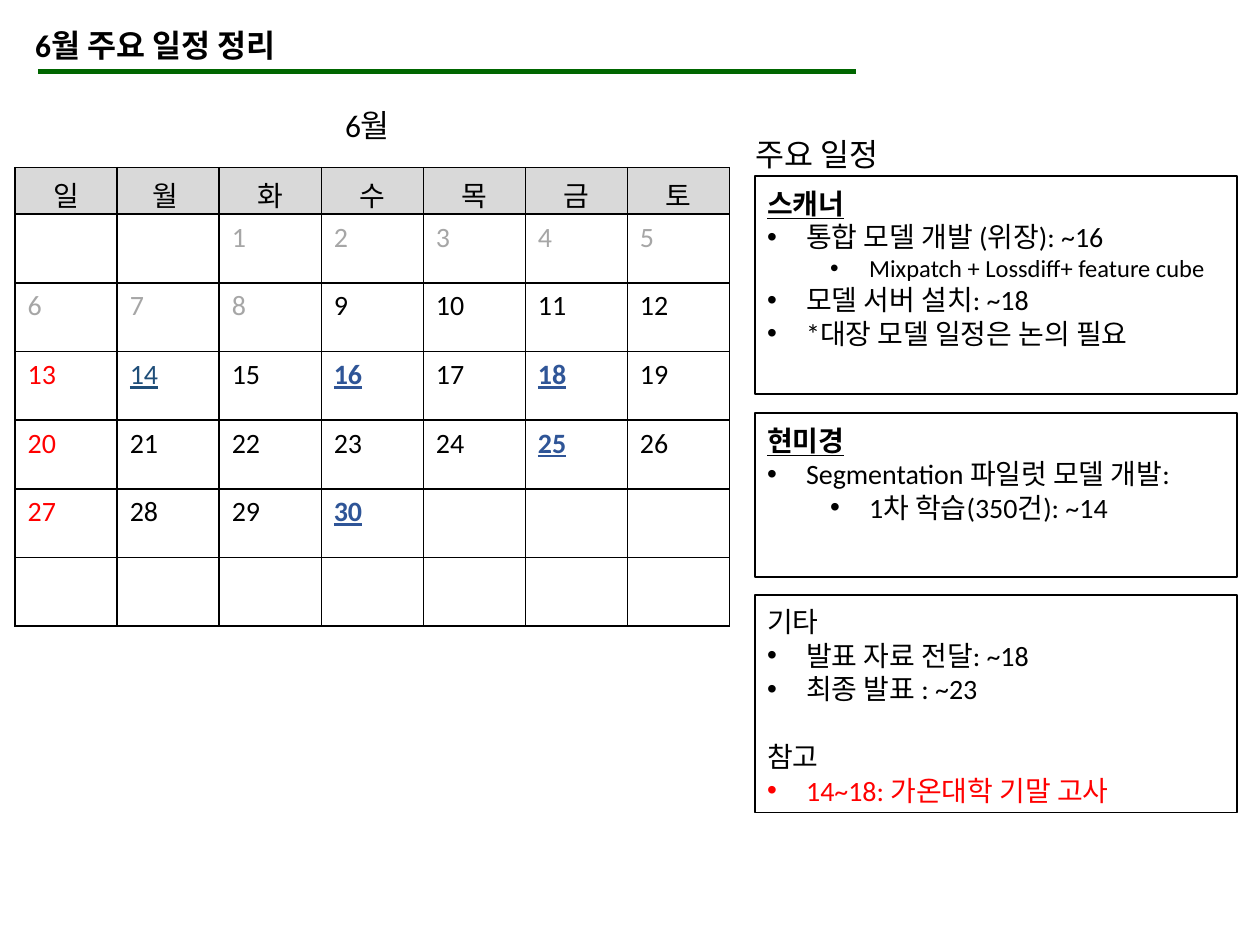
from dataclasses import dataclass

import pptx
import pptx.dml.color
import pptx.enum.shapes
import pptx.enum.text
import pptx.oxml
import pptx.oxml.ns
import pptx.util

Inches = pptx.util.Inches
Pt = pptx.util.Pt
qn = pptx.oxml.ns.qn

FONT = "Calibri"
COLORS = {
    "black": "000000",
    "white": "FFFFFF",
    "rule": "006600",
    "weekday": "D9D9D9",
    "past": "A6A6A6",
    "red": "FF0000",
    "milestone": "1F4E79",
    "due": "2F5597",
}
WEEKDAYS = ["일", "월 ", "화", "수", "목", "금", "토"]
WEEKS = 6
FIRST_COLUMN = 2
LAST_DAY = 30
TODAY = 9
DUE_DAYS = {16, 18, 25, 30}
MILESTONES = {14}
BULLET_HANG = 0.31


@dataclass
class Line:
    """One paragraph with its format; indent is the left margin of a bullet."""
    text: str
    size: float = 16
    color: str = "black"
    bold: bool = False
    underline: bool = False
    indent: float = 0
    before: float = 0


@dataclass
class Panel:
    """A framed list in the right column."""
    top: float
    height: float
    lines: list[Line]


def rgb(name: str) -> pptx.dml.color.RGBColor:
    """Return the named colour."""
    return pptx.dml.color.RGBColor.from_string(COLORS[name])


def write(paragraph, line: Line) -> None:
    """Fill a paragraph with one formatted line."""
    run = paragraph.add_run()
    run.text = line.text
    font_format = {
        "name": FONT,
        "size": Pt(line.size),
        "bold": line.bold,
        "underline": line.underline,
    }
    for attribute, value in font_format.items():
        setattr(run.font, attribute, value)
    run.font.color.rgb = rgb(line.color)
    if line.before:
        paragraph.space_before = Pt(line.before)
    if line.indent:
        properties = paragraph._p.get_or_add_pPr()
        properties.set("marL", str(Inches(line.indent)))
        properties.set("indent", str(-Inches(BULLET_HANG)))
        properties.append(pptx.oxml.parse_xml(
            f'<a:buFont {pptx.oxml.ns.nsdecls("a")} typeface="Arial"/>'))
        properties.append(pptx.oxml.parse_xml(
            f'<a:buChar {pptx.oxml.ns.nsdecls("a")} char="•"/>'))


def add_text(slide, left: float, top: float, width: float, height: float,
             lines: list[Line]) -> None:
    """Add a wrapping text box that holds the lines."""
    frame = slide.shapes.add_textbox(
        Inches(left), Inches(top), Inches(width), Inches(height)).text_frame
    frame.word_wrap = True
    frame.auto_size = pptx.enum.text.MSO_AUTO_SIZE.SHAPE_TO_FIT_TEXT
    for index, line in enumerate(lines):
        write(frame.add_paragraph() if index else frame.paragraphs[0], line)


def add_rule(slide) -> None:
    """Draw the green rule below the title."""
    rule = slide.shapes.add_connector(
        pptx.enum.shapes.MSO_CONNECTOR.STRAIGHT,
        Inches(0.3), Inches(0.57), Inches(6.79), Inches(0.57))
    rule.line.color.rgb = rgb("rule")
    rule.line.width = Pt(3)
    rule._element.spPr.append(pptx.oxml.parse_xml(
        f'<a:effectLst {pptx.oxml.ns.nsdecls("a")}/>'))


def add_panel(slide, panel: Panel) -> None:
    """Draw a frame and its list."""
    frame = slide.shapes.add_shape(
        pptx.enum.shapes.MSO_SHAPE.RECTANGLE, Inches(5.99), Inches(panel.top),
        Inches(3.83), Inches(panel.height))
    frame.shadow.inherit = False
    frame.fill.background()
    frame.line.color.rgb = rgb("black")
    frame.line.width = Pt(1)
    add_text(slide, 5.99, panel.top + 0.03, 3.83, panel.height - 0.03, panel.lines)


def style_cell(cell, fill: str) -> None:
    """Give a cell black borders and a fill."""
    properties = cell._tc.get_or_add_tcPr()
    for side in ("lnL", "lnR", "lnT", "lnB"):
        border = pptx.oxml.parse_xml(
            f'<a:{side} {pptx.oxml.ns.nsdecls("a")} w="{Pt(1)}"><a:solidFill>'
            f'<a:srgbClr val="{COLORS["black"]}"/></a:solidFill></a:{side}>')
        properties.append(border)
    cell.fill.solid()
    cell.fill.fore_color.rgb = rgb(fill)


def day_line(day: int, column: int) -> Line:
    """Return the day number in the format of its kind of day."""
    if day in DUE_DAYS:
        return Line(str(day), color="due", bold=True, underline=True)
    if day in MILESTONES:
        return Line(str(day), color="milestone", underline=True)
    if day < TODAY:
        return Line(str(day), color="past")
    return Line(str(day), color="red" if column == 0 else "black")


def add_calendar(slide) -> None:
    """Build the month table."""
    calendar = slide.shapes.add_table(
        WEEKS + 1, len(WEEKDAYS), Inches(0.12), Inches(1.33),
        Inches(0.81 * len(WEEKDAYS)), Inches(0.37 + 0.545 * WEEKS)).table
    calendar.first_row = False
    calendar.horz_banding = False
    for column in calendar.columns:
        column.width = Inches(0.81)
    for index, row in enumerate(calendar.rows):
        row.height = Inches(0.545 if index else 0.37)
    for column, weekday in enumerate(WEEKDAYS):
        heading = calendar.cell(0, column)
        style_cell(heading, "weekday")
        heading.vertical_anchor = pptx.enum.text.MSO_ANCHOR.MIDDLE
        heading.text_frame.paragraphs[0].alignment = pptx.enum.text.PP_ALIGN.CENTER
        write(heading.text_frame.paragraphs[0], Line(weekday))
        for week in range(WEEKS):
            cell = calendar.cell(week + 1, column)
            style_cell(cell, "white")
            day = week * len(WEEKDAYS) + column - FIRST_COLUMN + 1
            if 1 <= day <= LAST_DAY:
                write(cell.text_frame.paragraphs[0], day_line(day, column))


PANELS = [
    Panel(1.4, 1.73, [
        Line("스캐너", bold=True, underline=True),
        Line("통합 모델 개발 (위장): ~16", indent=0.31),
        Line("Mixpatch + Lossdiff+ feature cube", size=14, indent=0.81),
        Line("모델 서버 설치: ~18", indent=0.31),
        Line("*대장 모델 일정은 논의 필요", indent=0.31),
    ]),
    Panel(3.28, 1.3, [
        Line("현미경", bold=True, underline=True),
        Line("Segmentation 파일럿 모델 개발:", indent=0.31),
        Line("1차 학습(350건): ~14", indent=0.81),
    ]),
    Panel(4.72, 1.73, [
        Line("기타"),
        Line("발표 자료 전달: ~18", indent=0.31),
        Line("최종 발표 : ~23", indent=0.31),
        Line("참고", before=19.5),
        Line("14~18: 가온대학 기말 고사", color="red", indent=0.31),
    ]),
]

presentation = pptx.Presentation()
presentation.slide_width = Inches(10)
presentation.slide_height = Inches(7.5)
schedule = presentation.slides.add_slide(presentation.slide_layouts[6])

add_text(schedule, 0.18, 0.16, 5.89, 0.4, [Line("6월 주요 일정 정리", size=18, bold=True)])
add_rule(schedule)
add_calendar(schedule)
add_text(schedule, 2.64, 0.79, 1.3, 0.4, [Line("6월", size=18)])
add_text(schedule, 5.9, 1.02, 1.27, 0.4, [Line("주요 일정", size=18)])
for schedule_panel in PANELS:
    add_panel(schedule, schedule_panel)

presentation.save("out.pptx")
